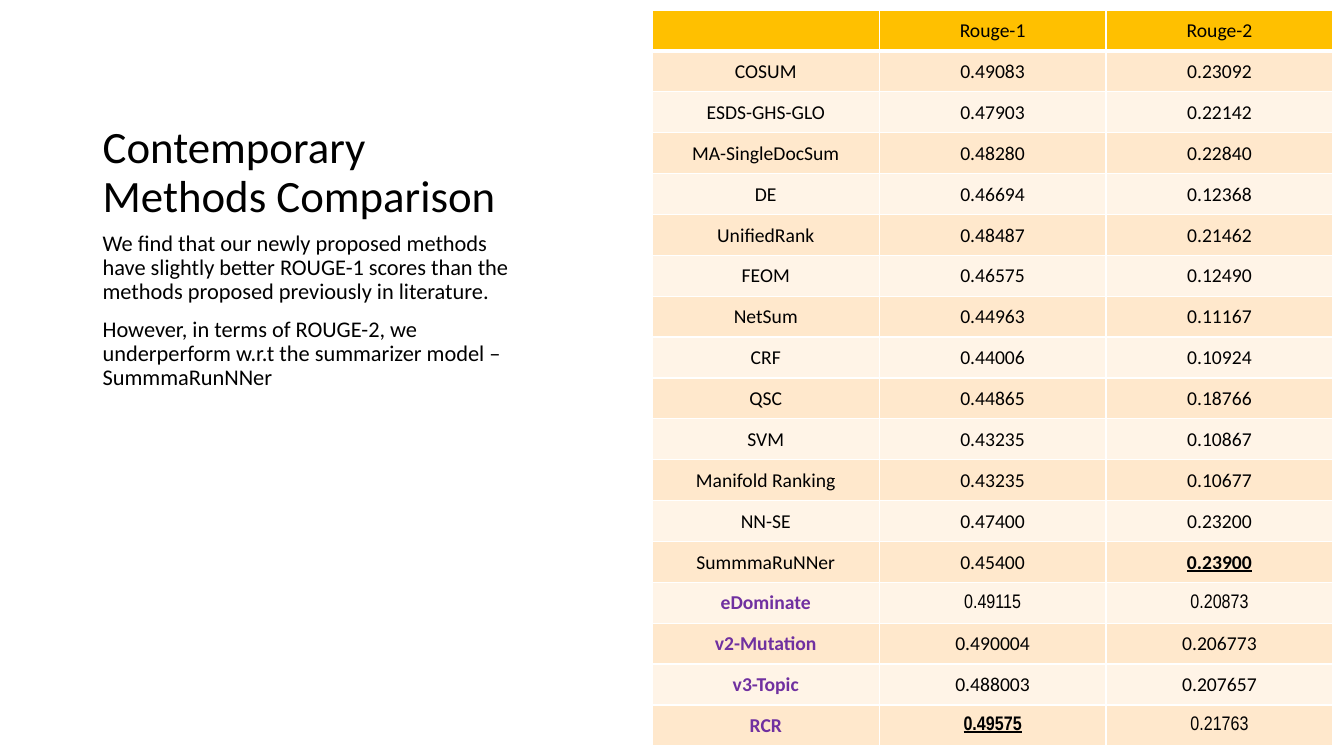
import pptx
import pptx.dml.color
import pptx.enum.text
import pptx.oxml
import pptx.oxml.ns
import pptx.util
from pptx.util import Inches, Pt

# Content
TITLE = "Contemporary Methods Comparison"
FINDINGS = [
    "We find that our newly proposed methods have slightly better ROUGE-1 scores "
    "than the methods proposed previously in literature.",
    "However, in terms of ROUGE-2, we underperform w.r.t the summarizer model – SummmaRunNNer",
]
SCORES = [
    ("", "Rouge-1", "Rouge-2"),
    ("COSUM", "0.49083", "0.23092"),
    ("ESDS-GHS-GLO", "0.47903", "0.22142"),
    ("MA-SingleDocSum", "0.48280", "0.22840"),
    ("DE", "0.46694", "0.12368"),
    ("UnifiedRank", "0.48487", "0.21462"),
    ("FEOM", "0.46575", "0.12490"),
    ("NetSum", "0.44963", "0.11167"),
    ("CRF", "0.44006", "0.10924"),
    ("QSC", "0.44865", "0.18766"),
    ("SVM", "0.43235", "0.10867"),
    ("Manifold Ranking", "0.43235", "0.10677"),
    ("NN-SE", "0.47400", "0.23200"),
    ("SummmaRuNNer", "0.45400", "0.23900"),
    ("eDominate", "0.49115", "0.20873"),
    ("v2-Mutation", "0.490004", "0.206773"),
    ("v3-Topic", "0.488003", "0.207657"),
    ("RCR", "0.49575", "0.21763"),
]
OUR_METHODS = {"eDominate", "v2-Mutation", "v3-Topic", "RCR"}
NARROW_ROWS = {"eDominate", "RCR"}
BEST_SCORES = {"0.49575", "0.23900"}

# Style
FONT, NARROW_FONT = "Calibri", "Arial Narrow"
BLACK, WHITE, PURPLE = "000000", "FFFFFF", "7030A0"
HEADER_FILL = "FFC000"
BAND_FILLS = ("FFF4E7", "FFE8CC")
TABLE_LEFT, TABLE_TOP, TABLE_WIDTH, TABLE_HEIGHT = 6.47, 0.1, 6.75, 7.3


def color(hex_string):
    return pptx.dml.color.RGBColor.from_string(hex_string)


def format_font(font, size, name=FONT, hex_color=BLACK, bold=False, underline=False):
    font.size, font.name = Pt(size), name
    font.bold, font.underline = bold, underline
    font.color.rgb = color(hex_color)


def add_text(slide, place, texts, size, anchor):
    shape = slide.shapes.add_textbox(*map(Inches, place))
    frame = shape.text_frame
    frame.word_wrap = True
    frame.vertical_anchor = anchor
    frame.text = "\n".join(texts)
    for index, paragraph in enumerate(frame.paragraphs):
        paragraph.line_spacing = 0.9
        paragraph.space_before = Pt(10 if index else 0)
        for run in paragraph.runs:
            format_font(run.font, size)


def add_borders(cell, widths):
    properties = cell._tc.get_or_add_tcPr()
    for side, width in zip("LRTB", widths):
        properties.append(pptx.oxml.parse_xml(
            f'<a:ln{side} {pptx.oxml.ns.nsdecls("a")} w="{Pt(width)}">'
            f'<a:solidFill><a:srgbClr val="{WHITE}"/></a:solidFill></a:ln{side}>'))


def fill_cell(cell, text, row, column):
    method = SCORES[row][0]
    add_borders(cell, (1, 1, 3 if row == 1 else 1, 3 if row == 0 else 1))
    cell.fill.solid()
    cell.fill.fore_color.rgb = color(BAND_FILLS[row % 2] if row else HEADER_FILL)
    cell.margin_left = cell.margin_right = cell.margin_top = Inches(0.01)
    cell.margin_bottom = 0
    cell.vertical_anchor = pptx.enum.text.MSO_ANCHOR.MIDDLE
    cell.text_frame.text = text
    paragraph = cell.text_frame.paragraphs[0]
    paragraph.alignment = pptx.enum.text.PP_ALIGN.CENTER
    ours = column == 0 and method in OUR_METHODS
    best = text in BEST_SCORES
    narrow = column > 0 and method in NARROW_ROWS
    for run in paragraph.runs:
        format_font(run.font, 14, NARROW_FONT if narrow else FONT,
                    PURPLE if ours else BLACK, ours or best, best)


def add_score_table(slide):
    row_count, column_count = len(SCORES), len(SCORES[0])
    place = map(Inches, (TABLE_LEFT, TABLE_TOP, TABLE_WIDTH, TABLE_HEIGHT))
    table = slide.shapes.add_table(row_count, column_count, *place).table
    table.horz_banding = False
    for column in table.columns:
        column.width = Inches(TABLE_WIDTH / column_count)
    for row in table.rows:
        row.height = Inches(TABLE_HEIGHT / row_count)
    for row, texts in enumerate(SCORES):
        for column, text in enumerate(texts):
            fill_cell(table.cell(row, column), text, row, column)


def main():
    presentation = pptx.Presentation()
    presentation.slide_width, presentation.slide_height = Inches(13.33), Inches(7.5)
    slide = presentation.slides.add_slide(presentation.slide_layouts[6])

    # Title and findings on the left, scores on the right
    anchors = pptx.enum.text.MSO_ANCHOR
    add_text(slide, (0.92, 0.5, 4.3, 1.75), [TITLE], 32, anchors.BOTTOM)
    add_score_table(slide)
    add_text(slide, (0.92, 2.25, 4.3, 4.17), FINDINGS, 16, anchors.TOP)
    presentation.save("out.pptx")


if __name__ == "__main__":
    main()
